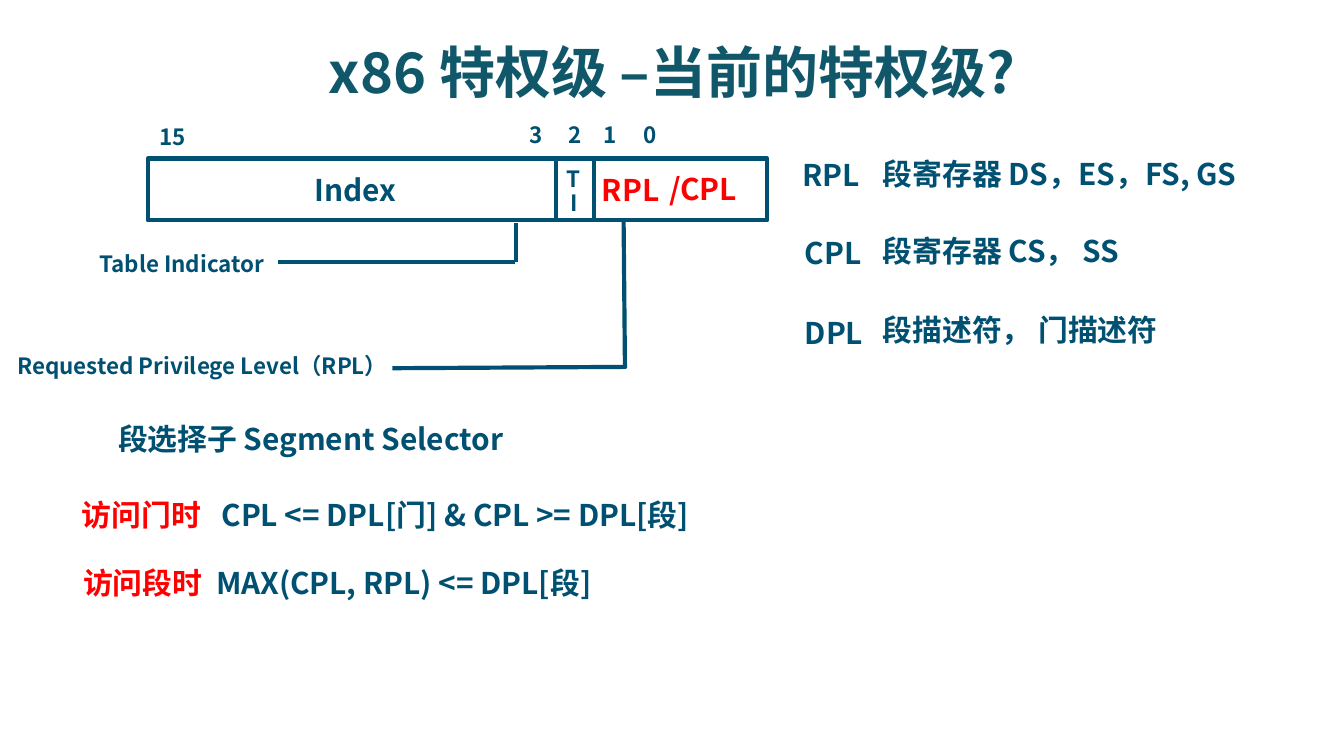
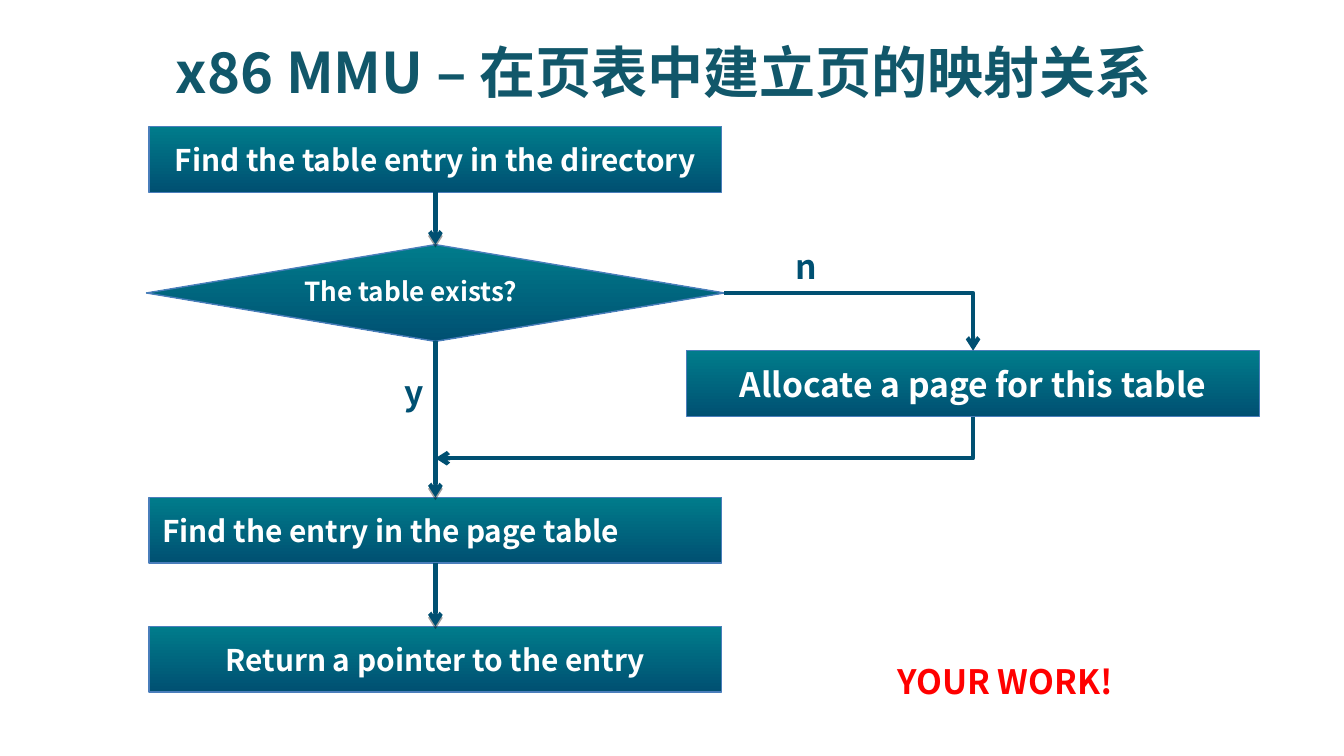
from lxml import etree
from pptx import Presentation
from pptx import util as u
from pptx.dml.color import RGBColor
from pptx.enum import shapes, text
from pptx.oxml.ns import qn

PX = 9144  # 100 px to the inch
PAGE_WIDTH = 1000
FONT = "Noto Sans CJK SC"
TITLE_COLOR = RGBColor(0x11, 0x57, 0x6A)
NAVY = RGBColor(0x00, 0x50, 0x72)
TEAL = RGBColor(0x00, 0x7C, 0x8B)
EDGE = RGBColor(0x4A, 0x7E, 0xBB)
RED = RGBColor(0xFF, 0x00, 0x00)
WHITE = RGBColor(0xFF, 0xFF, 0xFF)
LEFT, CENTER = text.PP_ALIGN.LEFT, text.PP_ALIGN.CENTER

# Slide 1: segment selector. Texts are grouped by (size, colour);
# each entry is text, left, top, width, height.
PRIVILEGE_TITLE = "x86 特权级 –当前的特权级?"
PRIVILEGE_TEXTS = {
    (16, NAVY): [
        ("RPL", 587, 112, 71, 37),
        ("段寄存器 DS，ES，FS, GS", 647, 111, 317, 38),
        ("CPL", 589, 170, 71, 37),
        ("段寄存器 CS， SS", 647, 168, 225, 37),
        ("DPL", 589, 229, 71, 37),
        ("段描述符， 门描述符", 647, 227, 267, 37),
        ("CPL <= DPL[门] & CPL >= DPL[段]", 155, 365, 440, 38),
        ("MAX(CPL, RPL) <= DPL[段]", 151, 415, 337, 37),
        ("段选择子 Segment Selector", 78, 308, 365, 37),
        ("Index", 224, 123, 139, 54),
    ],
    (16, RED): [
        ("访问门时", 51, 365, 121, 37),
        ("访问段时", 52, 415, 121, 37),
        ("RPL", 438, 123, 71, 37),
        ("/CPL", 488, 122, 76, 37),
    ],
    (12, NAVY): [
        ("T", 412, 118, 32, 30),
        ("I", 415, 136, 32, 30),
        ("Table Indicator", 64, 181, 170, 30),
        ("Requested Privilege Level（RPL）", 3, 257, 547, 44),
        ("15", 109, 87, 49, 50),
        ("3", 384, 85, 29, 30),
        ("2", 413, 85, 29, 30),
        ("1", 439, 85, 29, 30),
        ("0", 469, 85, 29, 30),
    ],
}
SELECTOR_FRAME = (110, 118, 461, 46)
SELECTOR_LINES = [  # start x, y, end x, y
    (442, 119, 442, 164), (414, 118, 414, 163),  # field dividers
    (384, 166, 384, 195), (383, 195, 207, 195),  # to Table Indicator
    (464, 163, 465, 274), (466, 273, 292, 274),  # to Requested Privilege Level
]

# Slide 2: flow chart
MAPPING_TITLE = "x86 MMU – 在页表中建立页的映射关系"
STEP_WIDTH, STEP_HEIGHT = 426, 49
STEPS = {  # name: text, left, top, size, alignment
    "directory": ("Find the table entry in the directory", 111, 94, 16, CENTER),
    "entry": ("Find the entry in the page table", 111, 370, 16, LEFT),
    "return": ("Return a pointer to the entry", 111, 466, 16, CENTER),
    "allocate": ("Allocate a page for this table", 511, 261, 18, CENTER),
}
DECISION = ("The table exists?", 109, 182, 430, 72)
FLOW = ["directory", "decision", "entry", "return"]
BENDS = [  # start, end, quarter turns
    ((539, 218), (724, 261), 0),
    ((724, 310), (324, 341), 1),
]
FLOW_LABELS = [
    ("n", 582, 178, 36, 40, NAVY),
    ("y", 291, 272, 35, 40, NAVY),
    ("YOUR WORK!", 658, 487, 193, 40, RED),
]


def scaled(*lengths):
    return [round(length * PX) for length in lengths]


def write(shape, words, size, color, align=LEFT):
    shape.text_frame.text = words
    para = shape.text_frame.paragraphs[0]
    para.alignment = align
    span = para.runs[0]
    span.font.name, span.font.size, span.font.bold = FONT, u.Pt(size), True
    span.font.color.rgb = color
    east_asian = etree.SubElement(span.font._element, qn("a:ea"))
    east_asian.set("typeface", FONT)


def add_text(page, words, place, size, color, align=LEFT, wrap=True):
    box = page.shapes.add_textbox(*scaled(*place))
    write(box, words, size, color, align)
    box.text_frame.word_wrap = wrap
    box.text_frame.auto_size = text.MSO_AUTO_SIZE.SHAPE_TO_FIT_TEXT


def add_title(page, words, left, width, align):
    add_text(page, words, (left, 23, width, 61), 30, TITLE_COLOR, align)


def add_line(page, ends, kind=shapes.MSO_CONNECTOR.STRAIGHT, arrow=False, shadow=False):
    line = page.shapes.add_connector(kind, *scaled(*ends))
    line.line.color.rgb, line.line.width = NAVY, u.Pt(2.25)
    props = line._element.spPr
    if arrow:
        etree.SubElement(props.find(qn("a:ln")), qn("a:tailEnd")).set("type", "arrow")
    effects = etree.SubElement(props, qn("a:effectLst"))
    if shadow:
        outer = etree.SubElement(effects, qn("a:outerShdw"), blurRad="0", dist="20000",
                                 dir="5400000", rotWithShape="0")
        black = etree.SubElement(outer, qn("a:srgbClr"), val="000000")
        etree.SubElement(black, qn("a:alpha"), val="36000")
    return line


def add_bend(page, start, end, turns):
    """One-corner arrow; a quarter turn swaps the sides of its frame."""
    (x1, y1), (x2, y2) = start, end
    width, height = abs(x2 - x1), abs(y2 - y1)
    if turns:
        width, height = height, width
    left, top = (x1 + x2 - width) / 2, (y1 + y2 - height) / 2
    bend = add_line(page, (left, top, left + width, top + height),
                    shapes.MSO_CONNECTOR.ELBOW, arrow=True)
    props = bend._element.spPr
    props.find(qn("a:prstGeom")).set("prst", "bentConnector2")
    props.find(qn("a:xfrm")).set("rot", str(turns * 5400000))


def add_block(page, kind, words, place, size, align, anchor):
    block = page.shapes.add_shape(kind, *scaled(*place))
    block.shadow.inherit = False
    block.fill.gradient()
    block.fill.gradient_angle = 270
    for stop, color in zip(block.fill.gradient_stops, (TEAL, NAVY)):
        stop.color.rgb = color
    block.line.color.rgb, block.line.width = EDGE, u.Pt(0.75)
    write(block, words, size, WHITE, align)
    block.text_frame.vertical_anchor = anchor
    return block


def build_privilege(page):
    add_title(page, PRIVILEGE_TITLE, 0, PAGE_WIDTH, CENTER)
    frame = page.shapes.add_shape(shapes.MSO_SHAPE.RECTANGLE, *scaled(*SELECTOR_FRAME))
    frame.shadow.inherit = False
    frame.fill.background()
    frame.line.color.rgb, frame.line.width = NAVY, u.Pt(2.25)
    for ends in SELECTOR_LINES:
        add_line(page, ends)
    for (size, color), entries in PRIVILEGE_TEXTS.items():
        for words, *place in entries:
            add_text(page, words, place, size, color)


def build_mapping(page):
    add_title(page, MAPPING_TITLE, 121, 859, LEFT)
    blocks = {}
    for name, (words, left, top, size, align) in STEPS.items():
        blocks[name] = add_block(page, shapes.MSO_SHAPE.FLOWCHART_PROCESS, words,
                                 (left, top, STEP_WIDTH, STEP_HEIGHT), size, align,
                                 text.MSO_ANCHOR.MIDDLE)
    words, *place = DECISION
    blocks["decision"] = add_block(page, shapes.MSO_SHAPE.FLOWCHART_DECISION, words,
                                   place, 14, LEFT, text.MSO_ANCHOR.TOP)
    # Arrows run from the bottom of each block to the top of the next
    for above, below in zip(FLOW, FLOW[1:]):
        arrow = add_line(page, (0, 0, 0, 0), arrow=True, shadow=True)
        arrow.begin_connect(blocks[above], 2)
        arrow.end_connect(blocks[below], 0)
    for start, end, turns in BENDS:
        add_bend(page, start, end, turns)
    for words, *place, color in FLOW_LABELS:
        add_text(page, words, place, 18, color, wrap=False)


def main():
    deck = Presentation()
    # Widescreen, 16:9
    deck.slide_width, deck.slide_height = scaled(PAGE_WIDTH, PAGE_WIDTH * 9 / 16)
    for build in (build_privilege, build_mapping):
        build(deck.slides.add_slide(deck.slide_layouts[6]))
    deck.save("out.pptx")


if __name__ == "__main__":
    main()
